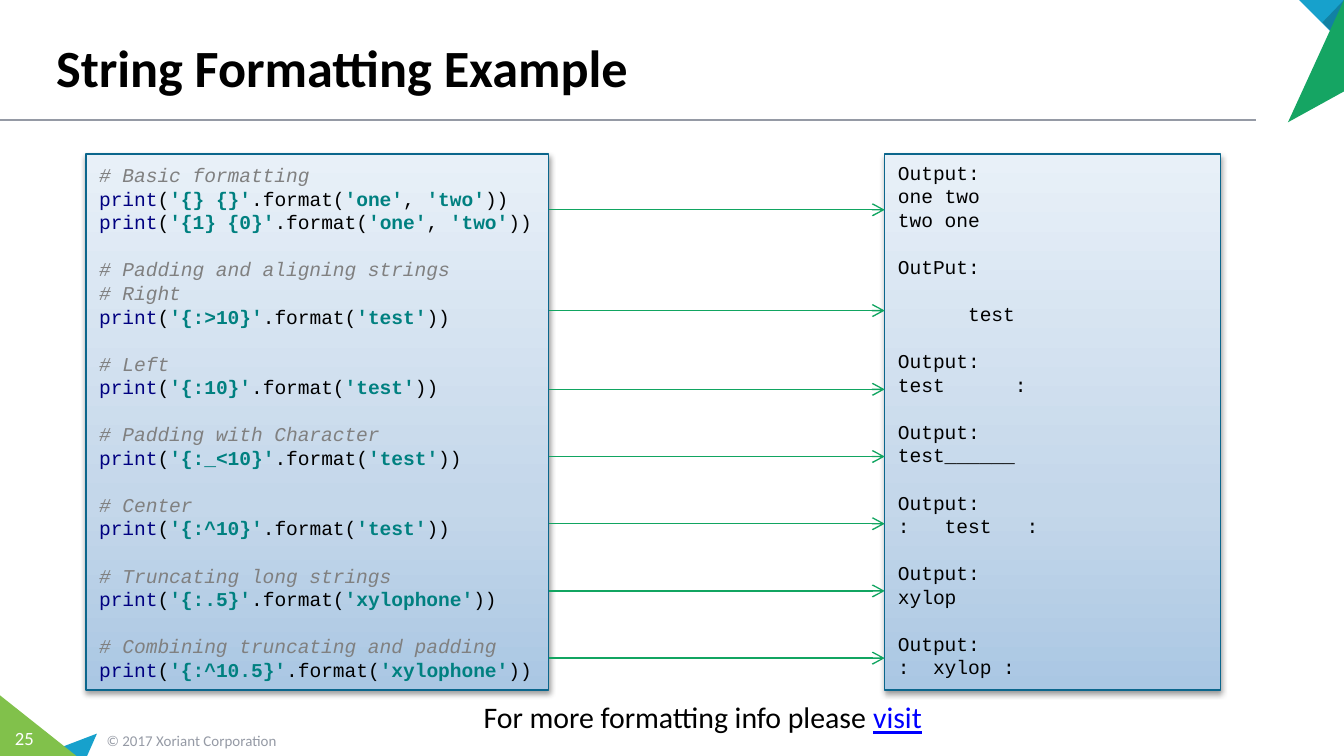
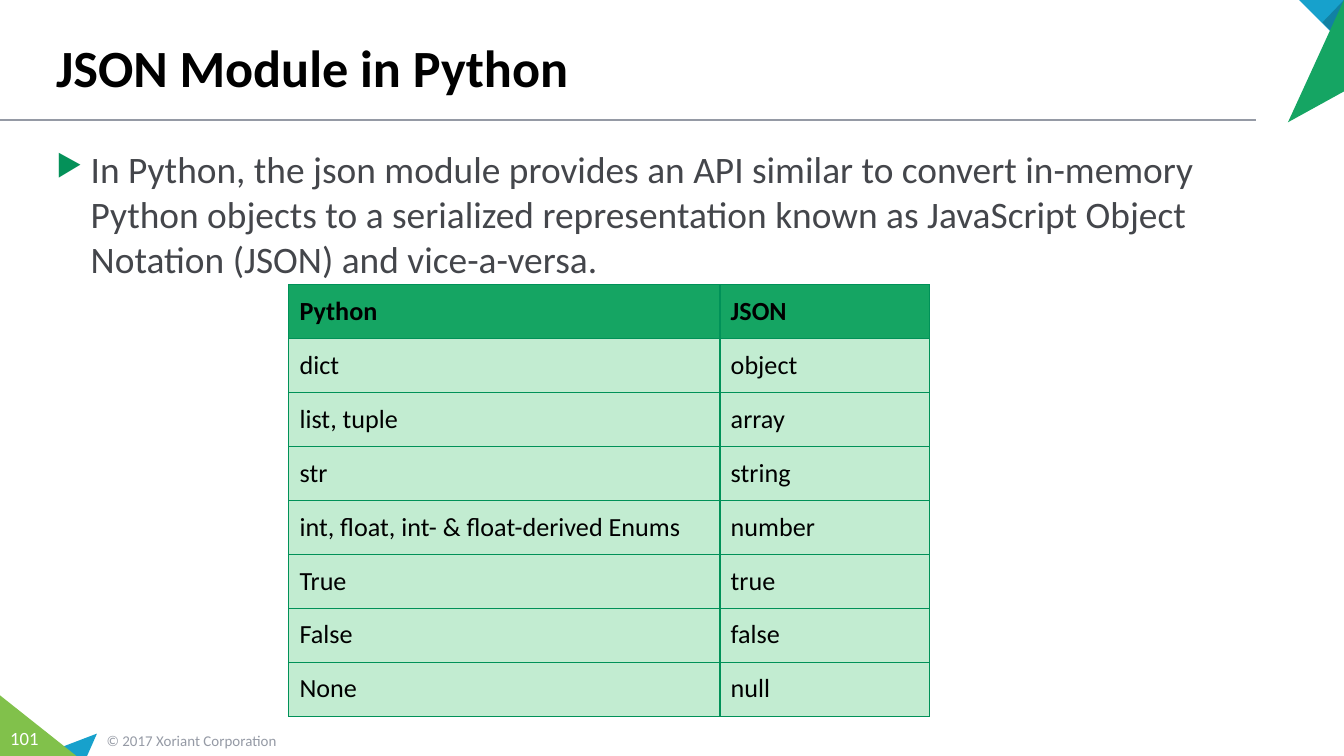
from copy import deepcopy

from lxml import etree
from pptx import Presentation
from pptx.dml.color import RGBColor
from pptx.enum import shapes, text
from pptx.oxml.ns import qn
from pptx.util import Pt

BLACK = RGBColor(0x00, 0x00, 0x00)
WHITE = RGBColor(0xFF, 0xFF, 0xFF)
GREY = RGBColor(0x95, 0x9A, 0xA5)
BODY_GREY = RGBColor(0x44, 0x46, 0x4B)
SKY = RGBColor(0x17, 0xA1, 0xCC)
DEEP_SKY = RGBColor(0x12, 0x81, 0xA3)
LIME = RGBColor(0x81, 0xC1, 0x4B)
GREEN = RGBColor(0x15, 0xA5, 0x63)
ARROW_GREEN = RGBColor(0x11, 0xA5, 0x61)
PALE_GREEN = RGBColor(0xC2, 0xEC, 0xD1)
PANEL_EDGE = RGBColor(0x0B, 0x66, 0x8C)
PANEL_STOPS = [(RGBColor(0xAA, 0xC7, 0xE3), 0), (RGBColor(0xC4, 0xD7, 0xEA), 0.35),
               (RGBColor(0xE8, 0xF0, 0xF8), 1)]
COMMENT = RGBColor(0x80, 0x80, 0x80)
KEYWORD = RGBColor(0x00, 0x00, 0x80)
STRING = RGBColor(0x00, 0x80, 0x80)
LINK_BLUE = RGBColor(0x00, 0x00, 0xFF)
BORDER = "009158"
BULLET = "049159"
FONT = "Calibri"
CODE_FONT = "Courier New"
CODE_PITCH = Pt(12.6)

TITLES = [("String Formatting Example", 25), ("JSON Module in Python", 101)]
CORNERS = [
    (SKY, [(52, 393), (46.7, 405), (20.7, 405)]),
    (LIME, [(0, 372.5), (41, 405), (0, 405)]),
    (SKY, [(696, 0), (720, 0), (720, 24)]),
    (DEEP_SKY, [(708.5, 12), (720, 0), (720, 24)]),
    (GREEN, [(690, 65.5), (720, 0), (720, 49)]),
]


def add_text(slide, box, words, size, color, bold=False, anchor=text.MSO_ANCHOR.TOP):
    frame = slide.shapes.add_textbox(*map(Pt, box)).text_frame
    frame.word_wrap = True
    frame.vertical_anchor = anchor
    paragraph = frame.paragraphs[0]
    paragraph.add_run().text = words
    font = paragraph.font
    font.name, font.size, font.bold = FONT, Pt(size), bold
    font.color.rgb = color
    return frame


def add_line(slide, left, right, y, color, width):
    line = slide.shapes.add_connector(shapes.MSO_CONNECTOR.STRAIGHT,
                                      Pt(left), Pt(y), Pt(right), Pt(y))
    line.line.color.rgb = color
    line.line.width = Pt(width)
    properties = line._element.spPr
    etree.SubElement(properties, qn("a:effectLst"))
    return properties.find(qn("a:ln"))


deck = Presentation()
deck.slide_width, deck.slide_height = Pt(720), Pt(405)

# Shared frame: rule, corner triangles, footer and title
for title, number in TITLES:
    slide = deck.slides.add_slide(deck.slide_layouts[6])
    add_line(slide, 0, 673, 64.2, GREY, 1)
    for color, points in CORNERS:
        start, *others = [(Pt(x), Pt(y)) for x, y in points]
        outline = slide.shapes.build_freeform(*start)
        outline.add_line_segments(others)
        triangle = outline.convert_to_shape()
        triangle.shadow.inherit = False
        triangle.fill.solid()
        triangle.fill.fore_color.rgb = color
        triangle.line.fill.background()
    add_text(slide, (50, 388.4, 168, 17), "© 2017 Xoriant Corporation", 8, GREY,
             anchor=text.MSO_ANCHOR.MIDDLE)
    page = add_text(slide, (0, 386, 26, 19.4), str(number), 10, WHITE)
    page.margin_left = page.margin_right = 0
    page.paragraphs[0].alignment = text.PP_ALIGN.CENTER
    add_text(slide, (23, 4.3, 648, 52), title, 28, BLACK, True, text.MSO_ANCHOR.BOTTOM)

formatting, json_module = deck.slides

# Slide 1: code and its output, as groups parted by one empty line
CODE = [
    ["# Basic formatting", "print('{} {}'.format('one', 'two'))",
     "print('{1} {0}'.format('one', 'two'))"],
    ["# Padding and aligning strings", "# Right", "print('{:>10}'.format('test'))"],
    ["# Left", "print('{:10}'.format('test'))"],
    ["# Padding with Character", "print('{:_<10}'.format('test'))"],
    ["# Center", "print('{:^10}'.format('test'))"],
    ["# Truncating long strings", "print('{:.5}'.format('xylophone'))"],
    ["# Combining truncating and padding", "print('{:^10.5}'.format('xylophone'))"],
]
OUTPUT = [
    ["Output:", "one two", "two one"],
    ["OutPut:"],
    ["      test"],
    ["Output:", "test      :"],
    ["Output:", "test______"],
    ["Output:", ":   test   :"],
    ["Output:", "xylop"],
    ["Output:", ":  xylop :"],
]
for left, width, groups, anchor in [(46, 248, CODE, text.MSO_ANCHOR.MIDDLE),
                                    (474, 180, OUTPUT, text.MSO_ANCHOR.TOP)]:
    panel = formatting.shapes.add_shape(shapes.MSO_SHAPE.RECTANGLE,
                                        Pt(left), Pt(82.6), Pt(width), Pt(287.2))
    panel.fill.gradient()
    panel.fill.gradient_angle = 90
    properties = panel._element.spPr
    stops = properties.find(".//" + qn("a:gsLst"))
    stops.insert(1, deepcopy(stops[0]))
    for stop, (color, position) in zip(panel.fill.gradient_stops, PANEL_STOPS):
        stop.color.rgb = color
        stop.position = position
    panel.line.color.rgb = PANEL_EDGE
    panel.line.width = Pt(0.75)

    # Soft shadow below the panel
    panel.shadow.inherit = False
    shadow = etree.SubElement(properties.find(qn("a:effectLst")), qn("a:outerShdw"),
                              blurRad=str(Pt(3.1)), dist=str(Pt(1.6)),
                              dir="5400000", rotWithShape="0")
    shade = etree.SubElement(shadow, qn("a:srgbClr"), val="000000")
    etree.SubElement(shade, qn("a:alpha"), val="38000")

    frame = panel.text_frame
    frame.word_wrap = groups is OUTPUT
    frame.vertical_anchor = anchor
    lines = [(row, line) for group in groups for row, line in enumerate(group)]
    for index, (row, line) in enumerate(lines):
        paragraph = frame.add_paragraph() if index else frame.paragraphs[0]
        paragraph.alignment = text.PP_ALIGN.LEFT
        paragraph.line_spacing = CODE_PITCH
        if index and row == 0:
            paragraph.space_before = CODE_PITCH
        paragraph.font.name, paragraph.font.size = CODE_FONT, Pt(10.5)

        # Quoted pieces are strings; the leading word is the keyword
        if line.startswith("#"):
            paragraph.font.italic = True
            pieces = [(line, COMMENT)]
        elif line.startswith("print"):
            pieces = [("print", KEYWORD)]
            for part, piece in enumerate(line.removeprefix("print").split("'")):
                pieces.append((f"'{piece}'", STRING) if part % 2 else (piece, BLACK))
        else:
            pieces = [(line, BLACK)]
        for piece, color in pieces:
            run = paragraph.add_run()
            run.text = piece
            run.font.color.rgb = color
            if color == STRING:
                run.font.bold = True

# Arrows from each example to its output
for y in [112.4, 166.4] + [208.6 + 36 * step for step in range(5)]:
    arrow = add_line(formatting, 294, 474, y, ARROW_GREEN, 0.75)
    etree.SubElement(arrow, qn("a:tailEnd"), type="arrow")

more = add_text(formatting, (252, 371, 253, 26.6), "For more formatting info please ", 16, BLACK)
more.word_wrap = False
visit = more.paragraphs[0].add_run()
visit.text = "visit"
visit.font.underline = True
visit.font.color.rgb = LINK_BLUE

# Slide 2: bulleted introduction
intro = json_module.shapes.add_textbox(Pt(23), Pt(75), Pt(660), Pt(79)).text_frame
intro.word_wrap = True
paragraph = intro.paragraphs[0]
paragraph.add_run().text = (
    "In Python, the json module provides an API similar to convert in-memory Python objects "
    "to a serialized representation known as JavaScript Object Notation (JSON) and vice-a-versa.")
bullet = paragraph._p.get_or_add_pPr()
bullet.set("marL", str(Pt(18.5)))
bullet.set("indent", str(Pt(-18.5)))
etree.SubElement(etree.SubElement(bullet, qn("a:buClr")), qn("a:srgbClr"), val=BULLET)
etree.SubElement(bullet, qn("a:buSzPct"), val="80000")
etree.SubElement(bullet, qn("a:buChar"), char="▶")
paragraph.space_after = Pt(3)
paragraph.font.name, paragraph.font.size = FONT, Pt(20)
paragraph.font.color.rgb = BODY_GREY

# Type mapping table
MAPPING = [
    ("Python", "JSON"),
    ("dict", "object"),
    ("list, tuple", "array"),
    ("str", "string"),
    ("int, float, int- & float-derived Enums", "number"),
    ("True", "true"),
    ("False", "false"),
    ("None", "null"),
]
ROW_HEIGHT = 28.9
mapping = json_module.shapes.add_table(len(MAPPING), 2, Pt(154.7), Pt(152.6), Pt(343.4),
                                       Pt(ROW_HEIGHT * len(MAPPING))).table
mapping.horz_banding = False
for column, width in zip(mapping.columns, (231, 112.4)):
    column.width = Pt(width)
for row, names in enumerate(MAPPING):
    mapping.rows[row].height = Pt(ROW_HEIGHT)
    for column, name in enumerate(names):
        cell = mapping.cell(row, column)
        cell.margin_left = cell.margin_right = cell.margin_top = cell.margin_bottom = Pt(5.8)
        for side in ("a:lnL", "a:lnR", "a:lnT", "a:lnB"):
            edge = etree.SubElement(cell._tc.get_or_add_tcPr(), qn(side), w=str(Pt(0.75)))
            etree.SubElement(etree.SubElement(edge, qn("a:solidFill")),
                             qn("a:srgbClr"), val=BORDER)
        cell.fill.solid()
        cell.fill.fore_color.rgb = PALE_GREEN if row else GREEN
        cell.text = name
        font = cell.text_frame.paragraphs[0].font
        font.name, font.size, font.bold = FONT, Pt(14), row == 0
        font.color.rgb = BLACK

deck.save("out.pptx")
